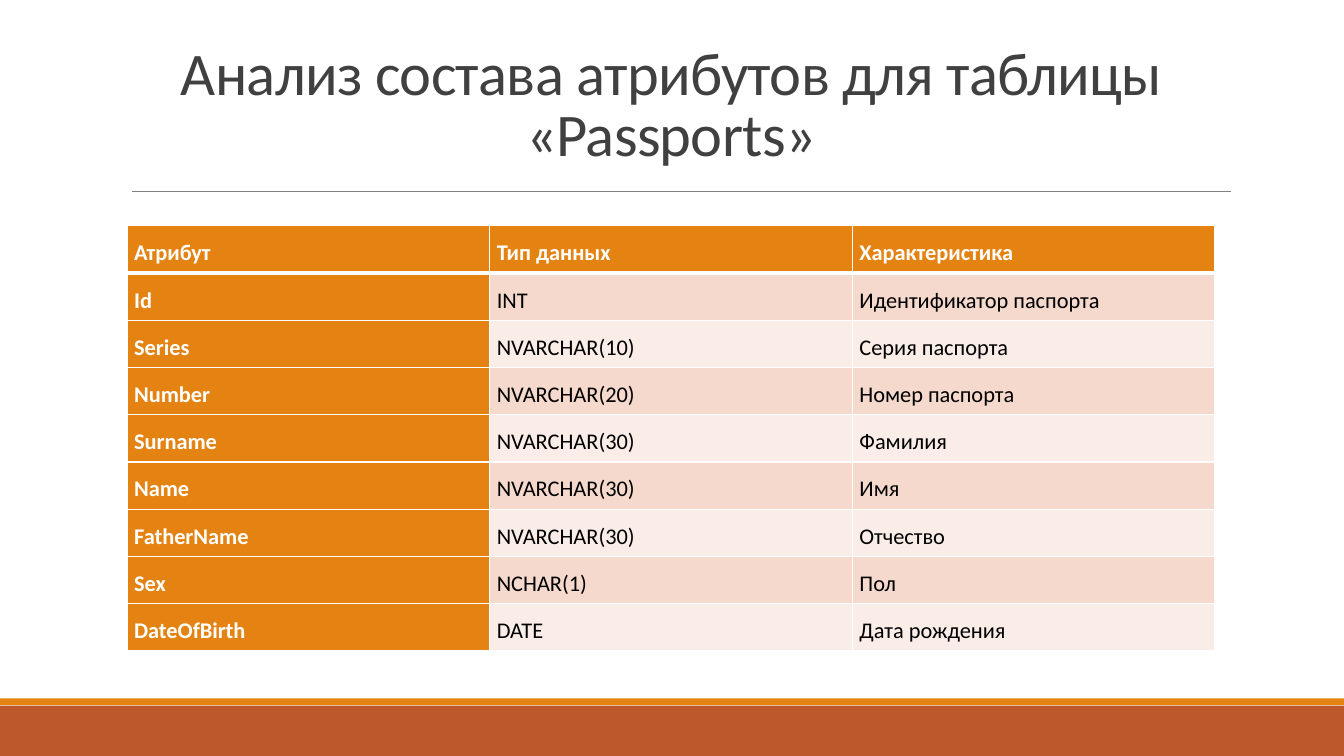
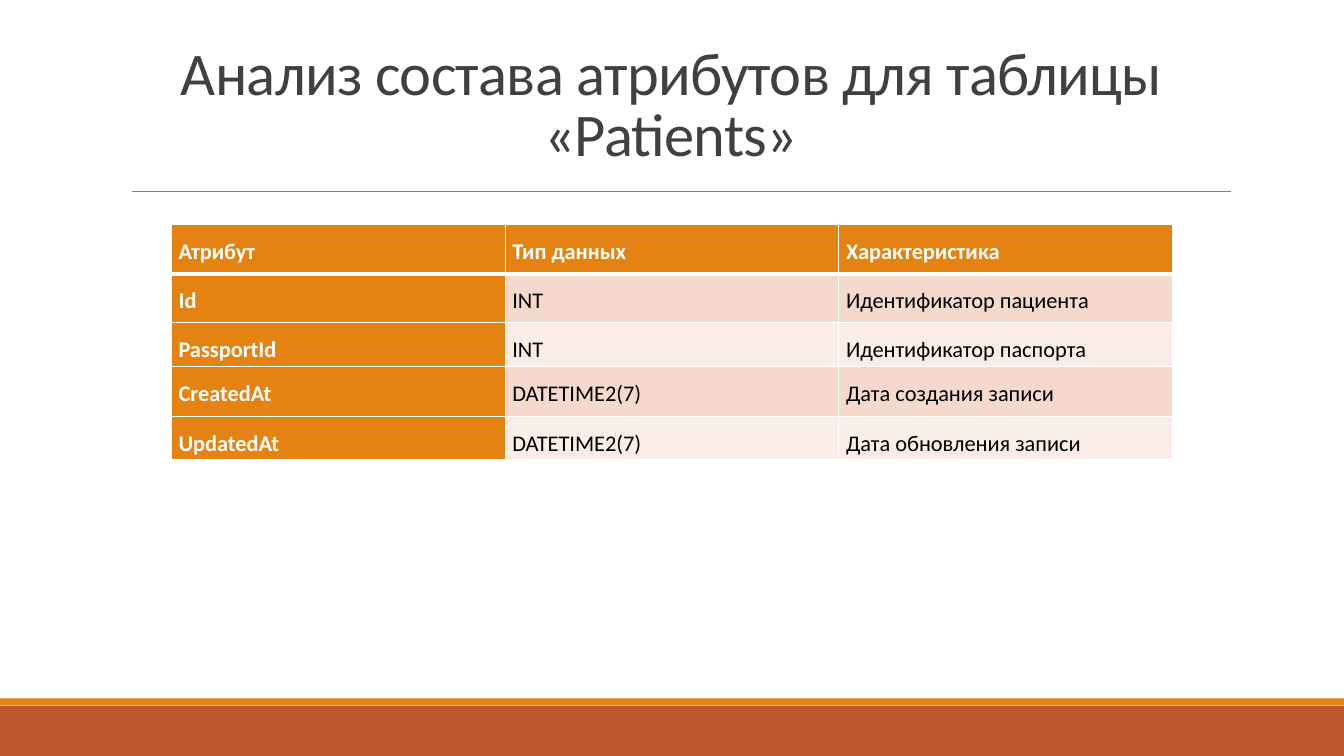
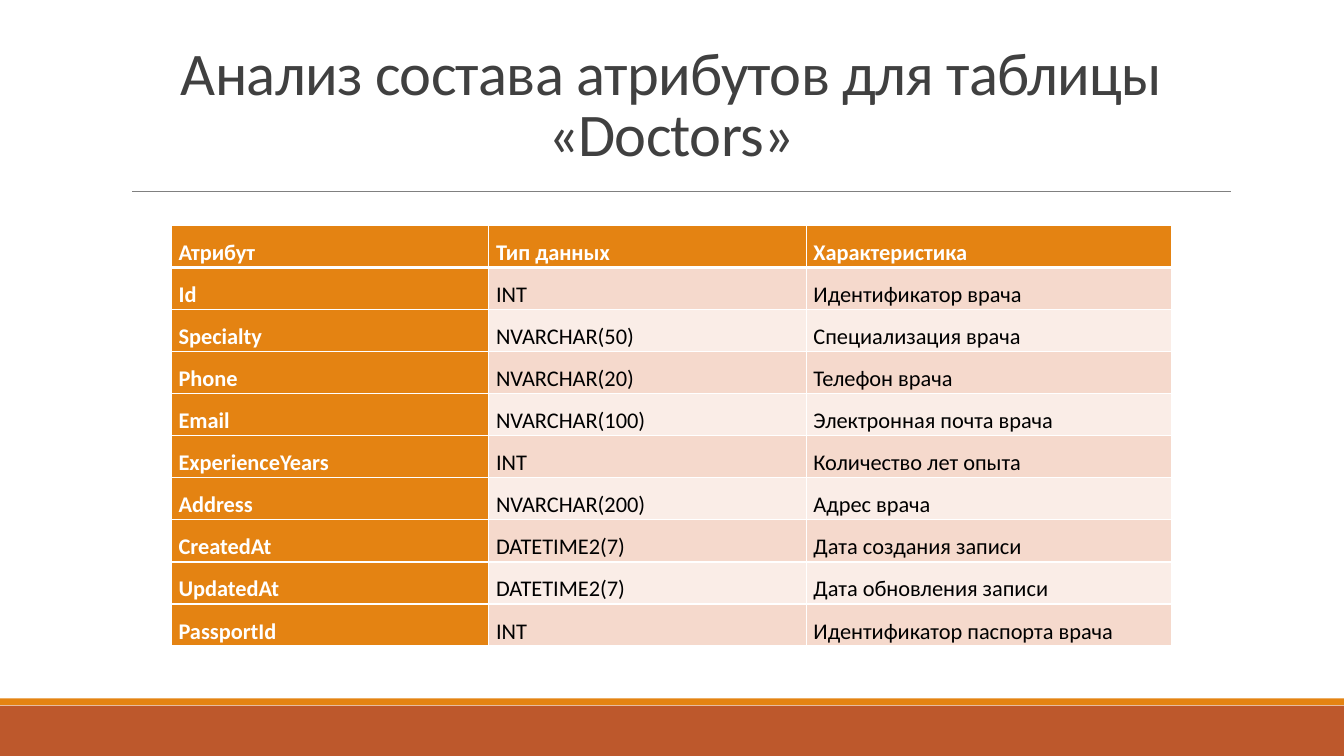
from lxml.etree import SubElement
from pptx import Presentation
from pptx.dml.color import RGBColor
from pptx.enum.shapes import MSO_CONNECTOR, MSO_SHAPE
from pptx.enum.text import MSO_ANCHOR, MSO_AUTO_SIZE, PP_ALIGN
from pptx.oxml.ns import qn
from pptx.util import Cm, Pt

COLORS = {
    "rust": "BD582C",
    "orange": "E48312",
    "rule": "808080",
    "title": "404040",
    "white": "FFFFFF",
    "black": "000000",
    "band_dark": "F5D9CC",
    "band_light": "FAEDE7",
}
FONT = "Calibri"
SLIDE_WIDTH, SLIDE_HEIGHT = 33.87, 19.05
TITLE_ONLY = 5
HEADER = ("Атрибут", "Тип данных", "Характеристика")

TABLES = [
    {
        "entity": "Passports",
        "left": 3.2, "top": 5.69,
        "widths": [9.14] * 3,
        "heights": [1.19] * 9,
        "attributes": [
            ("Id", "INT", "Идентификатор паспорта"),
            ("Series", "NVARCHAR(10)", "Серия паспорта"),
            ("Number", "NVARCHAR(20)", "Номер паспорта"),
            ("Surname", "NVARCHAR(30)", "Фамилия"),
            ("Name", "NVARCHAR(30)", "Имя"),
            ("FatherName", "NVARCHAR(30)", "Отчество"),
            ("Sex", "NCHAR(1)", "Пол"),
            ("DateOfBirth", "DATE", "Дата рождения"),
        ],
    },
    {
        "entity": "Patients",
        "left": 4.32, "top": 5.66,
        "widths": [8.41] * 3,
        "heights": [1.24, 1.22, 1.12, 1.25, 1.09],
        "attributes": [
            ("Id", "INT", "Идентификатор пациента"),
            ("PassportId", "INT", "Идентификатор паспорта"),
            ("CreatedAt", "DATETIME2(7)", "Дата создания записи"),
            ("UpdatedAt", "DATETIME2(7)", "Дата обновления записи"),
        ],
    },
    {
        "entity": "Doctors",
        "left": 4.32, "top": 5.68,
        "widths": [8, 8, 9.2],
        "heights": [1.06] * 10,
        "attributes": [
            ("Id", "INT", "Идентификатор врача"),
            ("Specialty", "NVARCHAR(50)", "Специализация врача"),
            ("Phone", "NVARCHAR(20)", "Телефон врача"),
            ("Email", "NVARCHAR(100)", "Электронная почта врача"),
            ("ExperienceYears", "INT", "Количество лет опыта"),
            ("Address", "NVARCHAR(200)", "Адрес врача"),
            ("CreatedAt", "DATETIME2(7)", "Дата создания записи"),
            ("UpdatedAt", "DATETIME2(7)", "Дата обновления записи"),
            ("PassportId", "INT", "Идентификатор паспорта врача"),
        ],
    },
]


def color(key):
    return RGBColor.from_string(COLORS[key])


def write(frame, text, size, ink, bold=False, align=PP_ALIGN.LEFT,
          line_spacing=1.0, tracking=None):
    """Fill a text frame with one formatted paragraph; tracking is in points."""
    paragraph = frame.paragraphs[0]
    paragraph.alignment = align
    paragraph.line_spacing = line_spacing
    run = paragraph.add_run()
    run.text = text
    run.font.name = FONT
    run.font.size = Pt(size)
    run.font.bold = bold
    run.font.color.rgb = color(ink)
    if tracking is not None:
        run.font._element.set("spc", str(round(tracking * 100)))


def set_borders(cell, **widths):
    """Draw white cell edges; must run before the cell gets its fill."""
    properties = cell._tc.get_or_add_tcPr()
    for side in ("L", "R", "T", "B"):
        edge = SubElement(properties, qn(f"a:ln{side}"),
                          w=str(Pt(widths.get(side, 1))))
        fill = SubElement(edge, qn("a:solidFill"))
        SubElement(fill, qn("a:srgbClr"), val=COLORS["white"])


class Deck:
    def __init__(self):
        self.presentation = Presentation()
        self.presentation.slide_width = Cm(SLIDE_WIDTH)
        self.presentation.slide_height = Cm(SLIDE_HEIGHT)
        self.slide = None

    def new_slide(self, title):
        layout = self.presentation.slide_layouts[TITLE_ONLY]
        self.slide = self.presentation.slides.add_slide(layout)
        self.band(17.78, 1.27, "rust")
        self.band(17.6, 0.17, "orange")
        self.rule(3.33, 31.01, 4.82)
        self.title(title)

    def band(self, top, height, fill):
        band = self.slide.shapes.add_shape(
            MSO_SHAPE.RECTANGLE, 0, Cm(top), Cm(SLIDE_WIDTH), Cm(height))
        band.shadow.inherit = False
        band.fill.solid()
        band.fill.fore_color.rgb = color(fill)
        band.line.fill.background()

    def rule(self, left, right, y):
        rule = self.slide.shapes.add_connector(
            MSO_CONNECTOR.STRAIGHT, Cm(left), Cm(y), Cm(right), Cm(y))
        rule.line.color.rgb = color("rule")
        rule.line.width = Pt(0.5)
        SubElement(rule._element.spPr, qn("a:effectLst"))

    def title(self, text):
        title = self.slide.shapes.title
        title.left, title.top = Cm(2.54), Cm(1.7)
        title.width, title.height = Cm(28.75), Cm(2.69)
        frame = title.text_frame
        frame.word_wrap = True
        frame.auto_size = MSO_AUTO_SIZE.NONE
        frame.vertical_anchor = MSO_ANCHOR.BOTTOM
        write(frame, text, 43.2, "title", align=PP_ALIGN.CENTER,
              line_spacing=0.85, tracking=-0.5)

    def table(self, left, top, widths, heights, rows):
        table = self.slide.shapes.add_table(
            len(rows), len(widths), Cm(left), Cm(top),
            Cm(sum(widths)), Cm(sum(heights))).table
        table.first_col = True
        table.horz_banding = False
        for column, width in zip(table.columns, widths):
            column.width = Cm(width)
        for row, height in zip(table.rows, heights):
            row.height = Cm(height)
        for r, texts in enumerate(rows):
            for c, text in enumerate(texts):
                self.cell(table.cell(r, c), text, r, is_heading=r == 0 or c == 0)

    def cell(self, cell, text, row, is_heading):
        set_borders(cell, T=3 if row == 1 else 1, B=3 if row == 0 else 1)
        banding = "band_dark" if row % 2 else "band_light"
        cell.fill.solid()
        cell.fill.fore_color.rgb = color("orange" if is_heading else banding)
        cell.margin_left = cell.margin_right = Cm(0.18)
        cell.margin_top = cell.margin_bottom = 0
        cell.vertical_anchor = MSO_ANCHOR.TOP
        write(cell.text_frame, text, 16, "white" if is_heading else "black",
              bold=is_heading, line_spacing=1.5)


def main():
    deck = Deck()
    for entry in TABLES:
        deck.new_slide(f"Анализ состава атрибутов для таблицы «{entry['entity']}»")
        deck.table(entry["left"], entry["top"], entry["widths"],
                   entry["heights"], [HEADER, *entry["attributes"]])
    deck.presentation.save("out.pptx")


if __name__ == "__main__":
    main()
